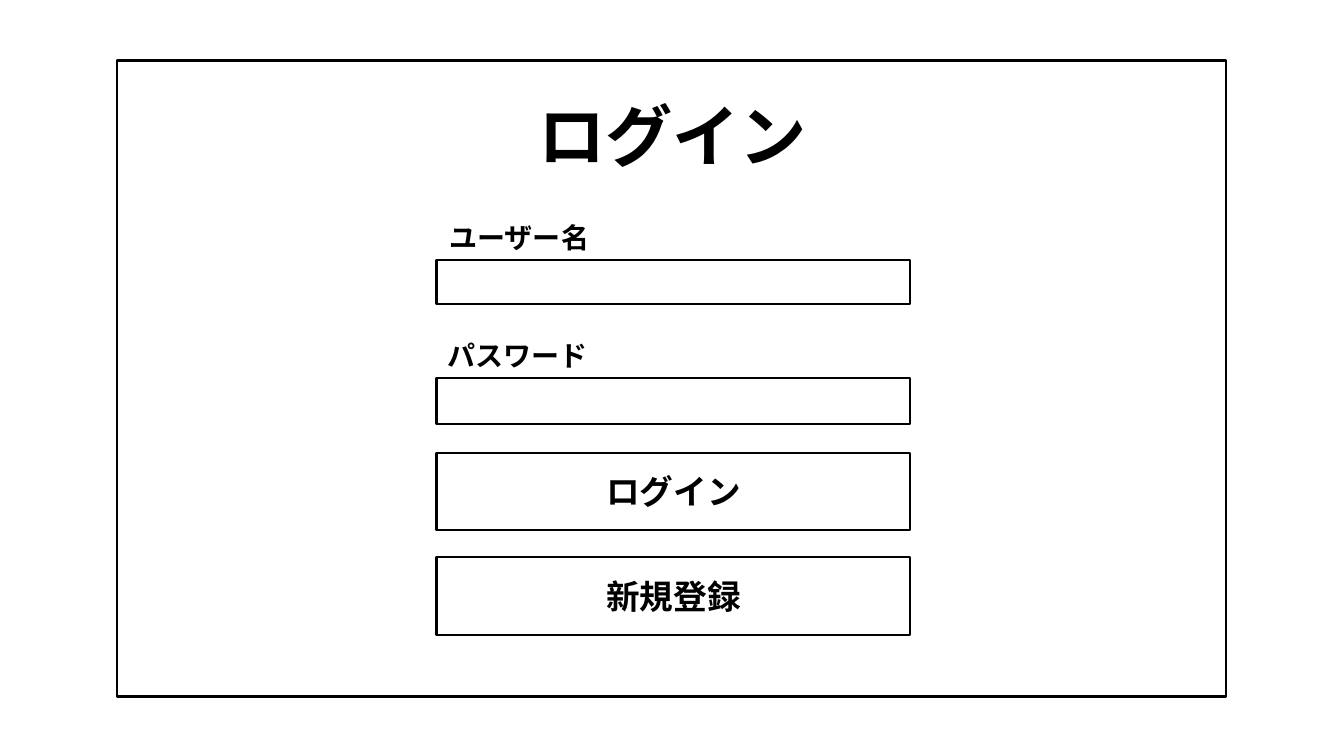
from dataclasses import dataclass

from lxml.etree import SubElement
from pptx import Presentation
from pptx.dml.color import RGBColor
from pptx.enum.shapes import MSO_SHAPE
from pptx.enum.text import MSO_ANCHOR, MSO_AUTO_SIZE, PP_ALIGN
from pptx.oxml.ns import qn
from pptx.slide import Slide
from pptx.text.text import TextFrame
from pptx.util import Emu, Pt

EMU_PER_PX = 9144  # 100 px to the inch
COLORS = {"ink": "000000", "paper": "FFFFFF"}
FONT = "Noto Sans CJK JP"


@dataclass(frozen=True)
class Box:
    left: int
    top: int
    width: int
    height: int
    caption: str = ""


@dataclass(frozen=True)
class Label:
    left: int
    top: int
    width: int
    height: int
    text: str
    size: int


FORM_LEFT, FORM_WIDTH = 433, 470
BUTTON_TOP, BUTTON_HEIGHT, BUTTON_STEP = 449, 77, 104
BUTTON_SIZE = 24

WINDOW = Box(116, 60, 1100, 631)
FIELDS = [
    Box(FORM_LEFT, 258, FORM_WIDTH, 44),
    Box(FORM_LEFT, 375, FORM_WIDTH, 46),
]
BUTTONS = [
    Box(FORM_LEFT, BUTTON_TOP + row * BUTTON_STEP, FORM_WIDTH, BUTTON_HEIGHT, caption)
    for row, caption in enumerate(["ログイン", "新規登録"])
]
LABELS = [
    Label(517, 89, 300, 91, "ログイン", 48),
    Label(435, 214, 160, 44, "ユーザー名", 20),
    Label(433, 331, 160, 44, "パスワード", 20),
]


def px(length: int) -> Emu:
    return Emu(length * EMU_PER_PX)


def color(name: str) -> RGBColor:
    return RGBColor.from_string(COLORS[name])


def write_centered(frame: TextFrame, text: str, size: int) -> None:
    paragraph = frame.paragraphs[0]
    paragraph.text = text
    paragraph.alignment = PP_ALIGN.CENTER
    font = paragraph.font
    font.size = Pt(size)
    font.bold = True
    font.name = FONT
    font.color.rgb = color("ink")
    # Japanese glyphs take their typeface from the East Asian font slot.
    defaults = paragraph._p.pPr.find(qn("a:defRPr"))
    SubElement(defaults, qn("a:ea"), typeface=FONT)


def draw_box(slide: Slide, box: Box) -> None:
    outline = slide.shapes.add_shape(
        MSO_SHAPE.RECTANGLE, px(box.left), px(box.top), px(box.width), px(box.height)
    )
    outline.shadow.inherit = False
    outline.fill.solid()
    outline.fill.fore_color.rgb = color("paper")
    outline.line.color.rgb = color("ink")
    outline.line.width = Pt(1.5)
    if box.caption:
        outline.text_frame.vertical_anchor = MSO_ANCHOR.MIDDLE
        write_centered(outline.text_frame, box.caption, BUTTON_SIZE)


def draw_label(slide: Slide, label: Label) -> None:
    frame = slide.shapes.add_textbox(
        px(label.left), px(label.top), px(label.width), px(label.height)
    ).text_frame
    frame.word_wrap = False
    frame.auto_size = MSO_AUTO_SIZE.SHAPE_TO_FIT_TEXT
    write_centered(frame, label.text, label.size)


def main() -> None:
    presentation = Presentation()
    presentation.slide_width = px(1333)
    presentation.slide_height = px(750)
    slide = presentation.slides.add_slide(presentation.slide_layouts[6])
    for box in [WINDOW, *FIELDS, *BUTTONS]:
        draw_box(slide, box)
    for label in LABELS:
        draw_label(slide, label)
    presentation.save("out.pptx")


if __name__ == "__main__":
    main()
